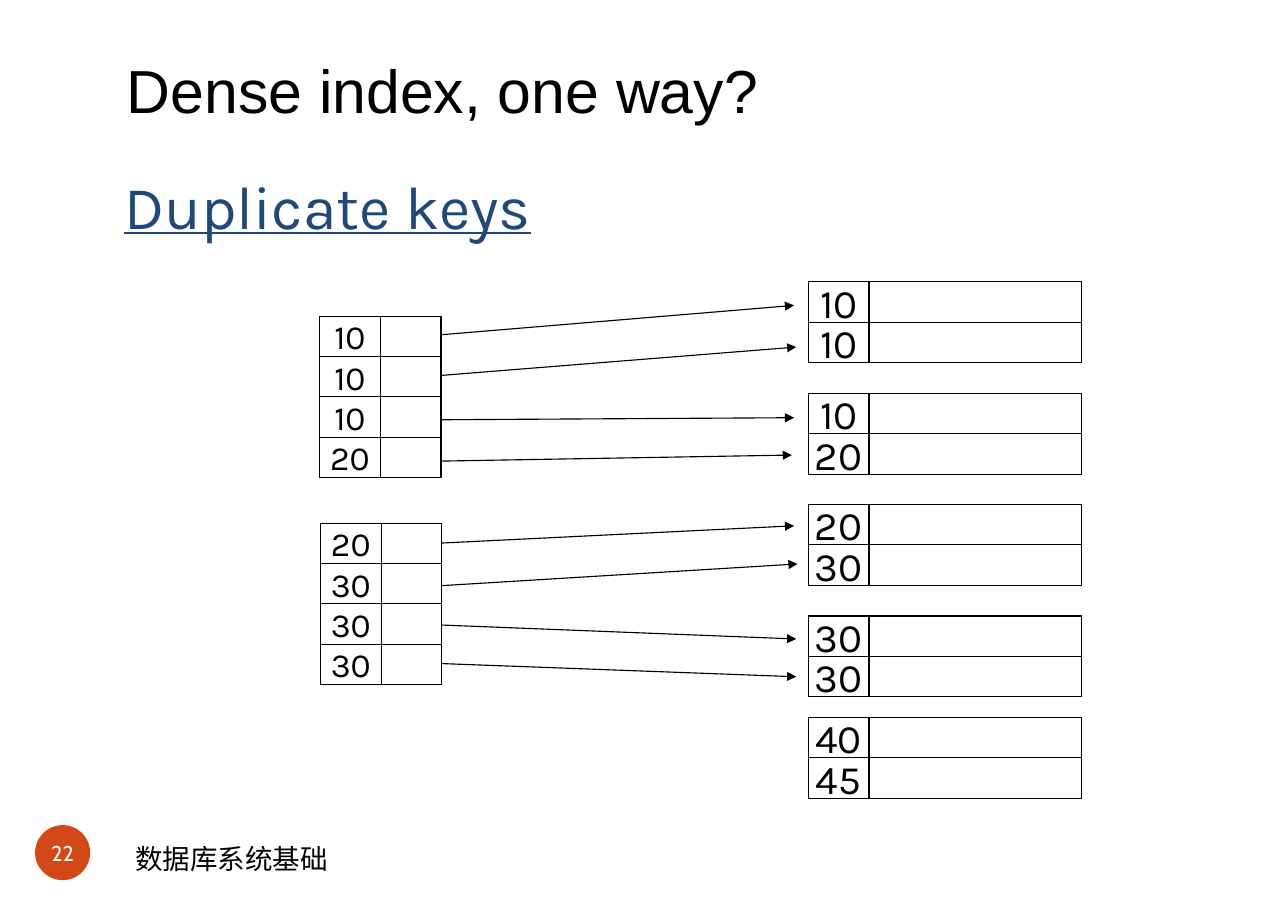
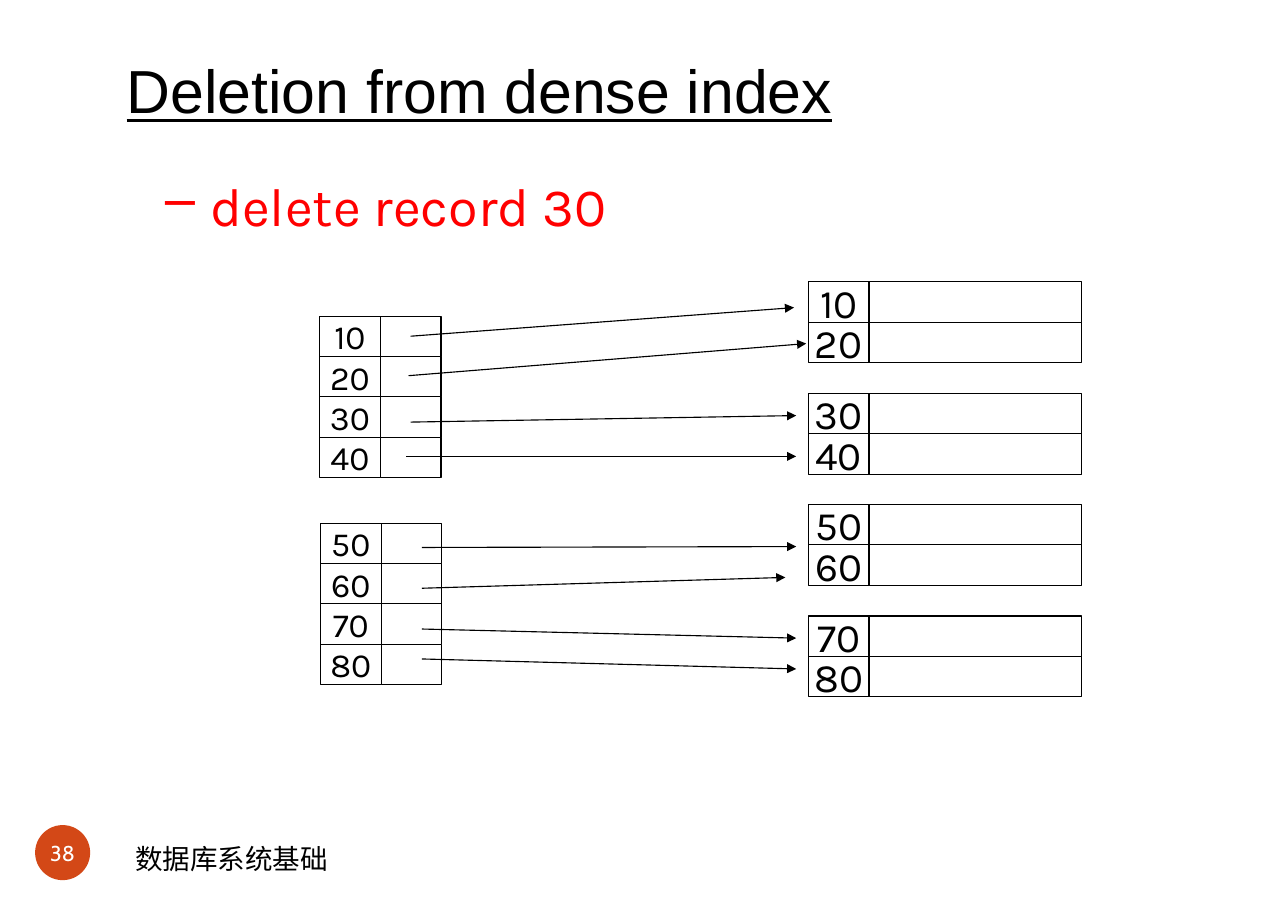
from lxml.etree import SubElement
from pptx import Presentation
from pptx.dml.color import RGBColor
from pptx.enum.shapes import MSO_CONNECTOR, MSO_SHAPE
from pptx.enum.text import MSO_ANCHOR, PP_ALIGN
from pptx.oxml.ns import qn
from pptx.util import Cm, Pt

BLACK, WHITE, RED, BLUE, ORANGE = "000000", "FFFFFF", "FF0000", "1F497D", "D34817"
BODY = "Karla"
ROW, KEY, DATA = 0.93, 1.4, 4.9
LEFT, TOP = 7.37, 6.5
RIGHT = 18.64


def color(code):
    return RGBColor.from_string(code)


def write(shape, text, size, font=BODY, ink=BLACK, align=PP_ALIGN.LEFT,
          anchor=MSO_ANCHOR.TOP, wrap=True, line=False, inset=None, bullet=None):
    frame = shape.text_frame
    frame.word_wrap = wrap
    frame.vertical_anchor = anchor
    if inset:
        (frame.margin_left, frame.margin_top,
         frame.margin_right, frame.margin_bottom) = [Cm(n) for n in inset]
    para = frame.paragraphs[0]
    para.alignment = align
    if bullet:
        mark, margin, indent = bullet
        props = para._p.get_or_add_pPr()
        props.set("marL", str(Cm(margin)))
        props.set("indent", str(Cm(indent)))
        SubElement(props, qn("a:buChar"), char=mark)
    run = para.add_run()
    run.text = text
    run.font.size = Pt(size)
    run.font.name = font
    run.font.underline = line
    run.font.color.rgb = color(ink)


def label(slide, box, text, size, **style):
    shape = slide.shapes.add_textbox(*[Cm(n) for n in box])
    write(shape, text, size, **style)


def solid(slide, kind, box, fill, edge=None):
    shape = slide.shapes.add_shape(kind, *[Cm(n) for n in box])
    shape.shadow.inherit = False
    shape.fill.solid()
    shape.fill.fore_color.rgb = color(fill)
    if edge:
        shape.line.color.rgb = color(edge)
        shape.line.width = Pt(0.75)
    else:
        shape.line.fill.background()
    return shape


def base(deck, title, number, line=False):
    slide = deck.slides.add_slide(deck.slide_layouts[6])
    badge = solid(slide, MSO_SHAPE.OVAL, (0.81, 19.02, 1.27, 1.27), ORANGE)
    write(badge, number, 14, font="Cabin", ink=WHITE, align=PP_ALIGN.CENTER,
          anchor=MSO_ANCHOR.MIDDLE, wrap=False, inset=(0, 0, 0, 0))
    label(slide, (2.87, 19.28, 6.48, 1.02), "数据库系统基础", 18, font="Calibri")
    label(slide, (2.92, 1.07, 23.88, 0.86), title, 39.7, font="Arial",
          line=line, inset=(0, 0.15, 0, 0))
    return slide


def block(slide, x, y, keys, width, size):
    for i, key in enumerate(keys):
        top = y + i * ROW
        cell = solid(slide, MSO_SHAPE.RECTANGLE, (x, top, KEY, ROW), WHITE, BLACK)
        write(cell, str(key), size, align=PP_ALIGN.CENTER,
              anchor=MSO_ANCHOR.MIDDLE, wrap=False)
        solid(slide, MSO_SHAPE.RECTANGLE, (x + KEY, top, width, ROW), WHITE, BLACK)


def index(slide, x, y, keys):
    for i in range(2):
        block(slide, x + i * 0.02, y + i * 4.77, keys[i * 4:i * 4 + 4], KEY, 22.1)


def records(slide, x, y, keys):
    tops = [0, 2.57, 5.13, 7.7, 10.04]
    for i in range(len(keys) // 2):
        block(slide, x, y + tops[i], keys[i * 2:i * 2 + 2], DATA, 26.4)


def arrows(slide, x, y, ends):
    for x1, y1, x2, y2 in ends:
        link = slide.shapes.add_connector(
            MSO_CONNECTOR.STRAIGHT, Cm(x + x1), Cm(y + y1), Cm(x + x2), Cm(y + y2))
        link.line.color.rgb = color(BLACK)
        link.line.width = Pt(0.75)
        SubElement(link.line._get_or_add_ln(), qn("a:tailEnd"), type="triangle")
        SubElement(link._element.spPr, qn("a:effectLst"))


def tables(slide, keys, data):
    records(slide, RIGHT, TOP, data)
    index(slide, LEFT, TOP + 0.79, keys)


def dense(deck):
    slide = base(deck, "Dense index, one way?", "22")
    arrows(slide, LEFT, TOP, [
        (2.16, 1.27, 10.94, 0.54), (2.1, 2.21, 10.99, 1.5),
        (2.1, 3.18, 10.94, 3.13), (2.16, 4.14, 10.89, 3.99),
        (2.16, 6.05, 10.94, 5.62), (2.16, 7.04, 11.02, 6.5),
        (2.1, 7.88, 10.99, 8.23), (2.1, 8.77, 10.99, 9.1)])
    keys = [10, 10, 10, 20, 20, 30, 30, 30]
    tables(slide, keys, keys + [40, 45])
    label(slide, (2.62, 3.66, 10.26, 2.13), "Duplicate keys", 39.7, ink=BLUE,
          anchor=MSO_ANCHOR.MIDDLE, line=True)


def delete(deck):
    slide = base(deck, "Deletion from dense index", "38", line=True)
    keys = list(range(10, 90, 10))
    tables(slide, keys, keys)
    arrows(slide, LEFT, TOP, [
        (2.1, 1.25, 10.94, 0.59), (2.05, 2.16, 11.22, 1.42),
        (2.1, 3.23, 10.99, 3.08), (2, 4.02, 10.99, 4.02),
        (2.36, 6.12, 10.99, 6.1), (2.36, 7.06, 10.74, 6.81),
        (2.36, 8, 10.99, 8.21), (2.36, 8.69, 10.99, 8.92)])
    label(slide, (2.72, 3.84, 11.81, 1.75), "delete record 30", 35.3, ink=RED,
          anchor=MSO_ANCHOR.MIDDLE, bullet=("–", 1.88, -1.04))


def main():
    deck = Presentation()
    deck.slide_width, deck.slide_height = Cm(29.7), Cm(21)
    dense(deck)
    delete(deck)
    deck.save("out.pptx")


if __name__ == "__main__":
    main()
